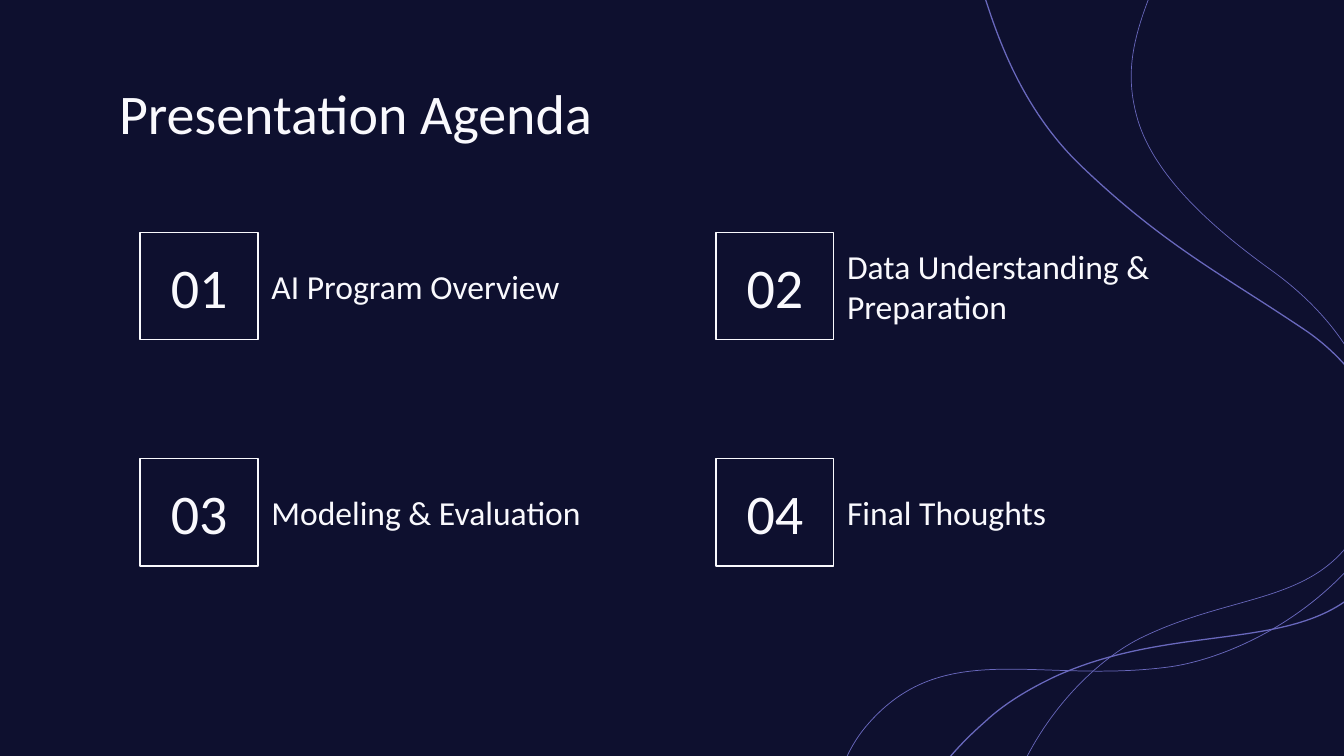
import pptx
import pptx.dml.color
import pptx.enum.shapes
import pptx.enum.text
import pptx.oxml.ns
import pptx.util
from lxml import etree

Cm = pptx.util.Cm
Pt = pptx.util.Pt
RGBColor = pptx.dml.color.RGBColor
MSO_ANCHOR = pptx.enum.text.MSO_ANCHOR
PP_ALIGN = pptx.enum.text.PP_ALIGN
qn = pptx.oxml.ns.qn

NAVY = RGBColor(0x0E, 0x10, 0x2F)
VIOLET = RGBColor(0x69, 0x68, 0xBD)
OFF_WHITE = RGBColor(0xF9, 0xF9, 0xFD)
FONT = "Calibri"
INSET = 0.25

# Line width in points, then the start point and Bézier points in cm
WAVES = [
    (0.67, [(18.62, -0.03), (18.9, 0.84), (19.38, 2.16), (20.5, 3.2),
            (22.05, 4.67), (23.14, 5.21), (24.71, 6.27),
            (26.42, 7.47), (26.8, 9.63), (26.01, 10.77),
            (24.87, 12.45), (22.4, 11.68), (19.96, 12.78),
            (19.43, 13.03), (18.97, 13.31), (18.62, 13.64),
            (18.21, 14), (17.32, 14.83), (16.89, 16.23)]),
    (0.36, [(21.95, -0.61), (21.41, 0.64), (21.23, 1.35), (21.51, 2.29),
            (21.79, 3.18), (22.61, 4.09), (24.03, 5.11),
            (25.96, 6.5), (26.39, 8.36), (25.86, 9.63),
            (25.1, 11.48), (23.44, 11.13), (21.54, 12.07),
            (20.68, 12.5), (19.18, 13.84), (18.82, 16.1)]),
    (0.4, [(17.17, 19.25), (15.52, 16.94), (15.37, 14.94), (16.36, 13.74),
           (17.81, 12.01), (19.63, 12.95), (22.15, 12.6),
           (23.32, 12.42), (25.48, 11.48), (26.54, 9.17)]),
]

# Heading and label width in cm
TOPICS = [
    ("AI Program Overview", 6.99),
    ("Data Understanding & Preparation", 6.99),
    ("Modeling & Evaluation", 7.92),
    ("Final Thoughts", 6.99),
]


def add_wave(slide, width, points):
    """Draw an open curve: every three points after the first are one Bézier."""
    scaled = [(Cm(x), Cm(y)) for x, y in points]
    builder = slide.shapes.build_freeform(*scaled[0])
    builder.add_line_segments(scaled[1:], close=False)
    wave = builder.convert_to_shape()
    wave.shadow.inherit = False
    wave.fill.background()
    wave.line.color.rgb = VIOLET
    wave.line.width = Pt(width)

    segments = list(wave.element.iter(qn("a:lnTo")))
    path = segments[0].getparent()
    for start in range(0, len(segments), 3):
        curve = etree.SubElement(path, qn("a:cubicBezTo"))
        for segment in segments[start:start + 3]:
            curve.append(segment[0])
            path.remove(segment)


def set_text(shape, text, size, anchor, alignment=PP_ALIGN.LEFT):
    frame = shape.text_frame
    frame.text = text
    frame.word_wrap = True
    frame.vertical_anchor = anchor
    frame.margin_left = frame.margin_right = Cm(INSET)
    frame.margin_top = frame.margin_bottom = Cm(INSET)
    paragraph = frame.paragraphs[0]
    paragraph.alignment = alignment
    font = paragraph.runs[0].font
    font.name = FONT
    font.size = Pt(size)
    font.color.rgb = OFF_WHITE


def add_title(slide, left, top, width, height):
    title = slide.shapes.add_textbox(Cm(left), Cm(top), Cm(width), Cm(height))
    set_text(title, "Presentation Agenda", 30, MSO_ANCHOR.TOP)


def add_topic(slide, left, top, number, heading, label_width):
    box_width, height = 2.23, 2.03
    box = slide.shapes.add_shape(
        pptx.enum.shapes.MSO_SHAPE.RECTANGLE,
        Cm(left), Cm(top), Cm(box_width), Cm(height))
    box.shadow.inherit = False
    box.fill.background()
    box.line.color.rgb = OFF_WHITE
    box.line.width = Pt(0.75)
    set_text(box, f"{number:02d}", 30, MSO_ANCHOR.MIDDLE, PP_ALIGN.CENTER)

    label = slide.shapes.add_textbox(
        Cm(left + box_width), Cm(top), Cm(label_width), Cm(height))
    set_text(label, heading, 18, MSO_ANCHOR.MIDDLE)


def add_agenda(slide, left, top, column_step, row_step):
    for index, (heading, label_width) in enumerate(TOPICS):
        row, column = divmod(index, 2)
        add_topic(slide, left + column * column_step, top + row * row_step,
                  index + 1, heading, label_width)


def main():
    presentation = pptx.Presentation()
    presentation.slide_width = Cm(25.4)
    presentation.slide_height = Cm(14.29)
    slide = presentation.slides.add_slide(presentation.slide_layouts[6])
    slide.background.fill.solid()
    slide.background.fill.fore_color.rgb = NAVY

    for width, points in WAVES:
        add_wave(slide, width, points)
    add_title(slide, left=2, top=1.24, width=21.4, height=1.6)
    add_agenda(slide, left=2.65, top=4.39, column_step=10.88, row_step=4.28)
    presentation.save("out.pptx")


if __name__ == "__main__":
    main()
